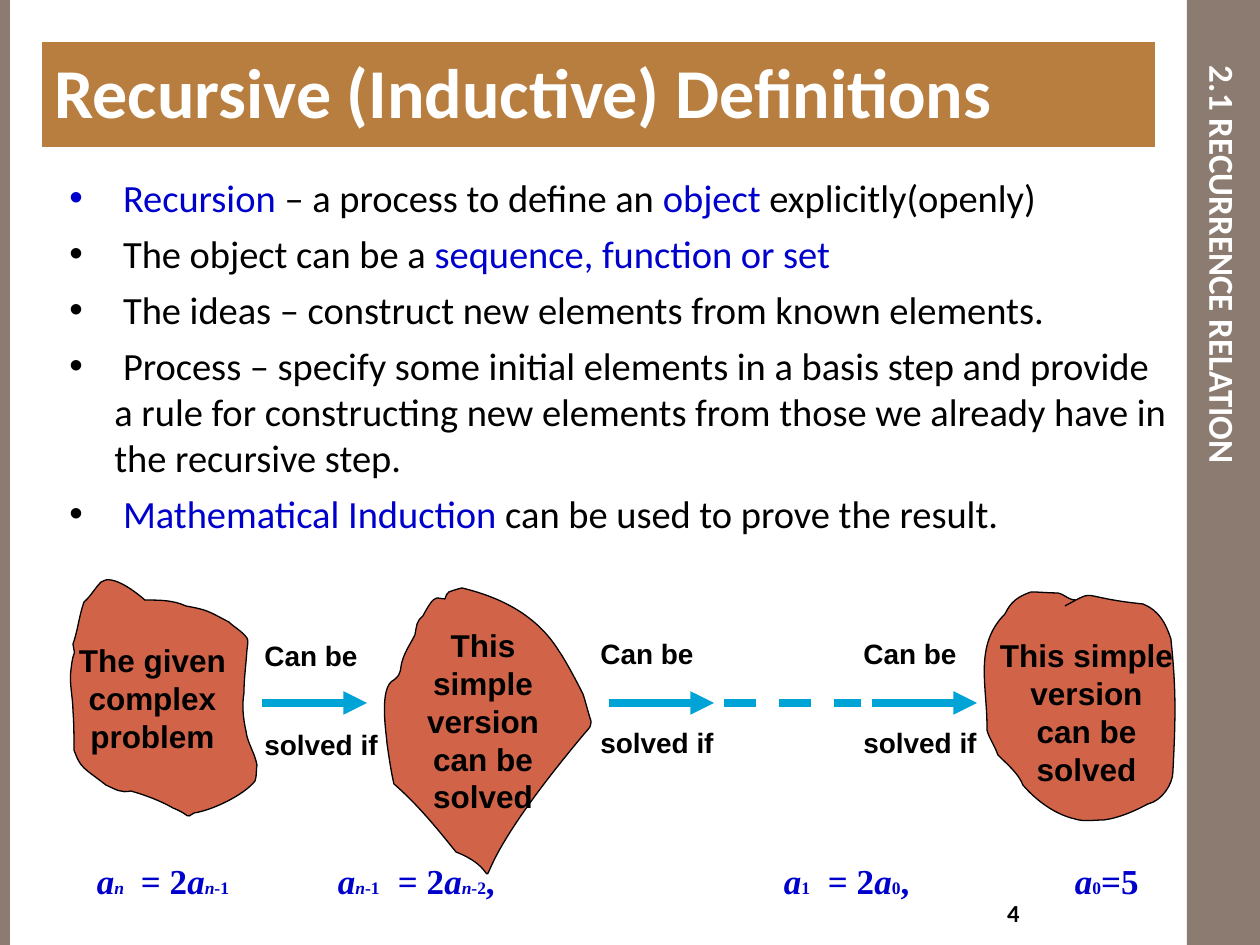
from math import cos, radians, sin
from pptx import Presentation
from pptx.dml.color import RGBColor
from pptx.enum.dml import MSO_LINE
from pptx.enum.shapes import MSO_CONNECTOR, MSO_SHAPE
from pptx.enum.text import MSO_ANCHOR, MSO_AUTO_SIZE, PP_ALIGN
from pptx.oxml.ns import qn
from pptx.util import Emu, Pt
from lxml.etree import SubElement

SCALE = 914400 / 126
BLACK, WHITE, BLUE = "000000", "FFFFFF", "0000CC"
BAR, BANNER, BLOB, ARROW = "8C7B70", "B87E3F", "D16349", "00A3D6"
ARROW_Y = 703
COMPLEX_CENTER = (163, 701)

COMPLEX_OUTLINE = [
    (145, 600), (160, 600), (173, 600), (186, 606), (208, 610), (208, 611), (229, 622),
    (234, 627), (242, 631), (247, 638), (249, 640), (247, 648), (247, 650),
    (246, 665), (244, 678), (244, 693), (242, 704), (243, 718), (246, 731),
    (247, 742), (255, 753), (257, 765), (256, 770), (257, 776), (255, 781),
    (244, 795), (213, 810), (194, 813), (184, 819), (193, 816), (173, 808),
    (161, 801), (145, 795), (131, 791), (121, 793), (117, 790), (106, 785),
    (83, 767), (81, 769), (74, 750), (74, 736), (74, 723), (73, 711),
    (73, 698), (69, 682), (71, 670), (74, 643), (76, 662), (73, 644),
    (78, 630), (79, 616), (84, 602), (91, 596), (95, 588), (101, 582),
    (112, 573), (137, 593), (145, 600),
]
SIMPLER_OUTLINE = [
    (445, 599), (446, 596), (447, 593), (449, 592), (454, 590), (462, 588), (462, 588),
    (499, 597), (536, 614), (559, 651), (568, 664), (583, 694), (583, 694),
    (586, 703), (588, 712), (591, 721), (591, 723), (591, 725), (590, 727),
    (588, 730), (585, 733), (585, 733), (433, 914), (525, 879), (456, 852),
    (436, 827), (417, 804), (394, 784), (391, 771), (389, 757), (387, 743),
    (387, 737), (378, 687), (394, 680), (403, 673), (399, 670), (403, 659),
    (406, 650), (411, 643), (415, 635), (417, 625), (416, 622), (423, 616),
    (423, 616), (431, 600), (435, 599), (437, 597), (441, 599), (445, 599),
]
SIMPLEST_OUTLINE = [
    (1065, 606), (1099, 588), (1075, 597), (1143, 604), (1160, 611), (1166, 624), (1171, 639),
    (1176, 687), (1176, 714), (1173, 772), (1173, 784), (1162, 801), (1148, 804),
    (1135, 811), (1119, 818), (1104, 820), (1094, 820), (1084, 822), (1075, 819),
    (1053, 814), (1034, 798), (1023, 785), (1019, 774), (1007, 764), (998, 755),
    (995, 746), (989, 738), (987, 730), (988, 688), (973, 646), (1005, 614),
    (1011, 602), (1017, 597), (1031, 592), (1040, 592), (1048, 593), (1058, 593),
    (1066, 595), (1068, 600), (1076, 600),
]
POINTS = [
    [(" Recursion", BLUE), (" – a process to define an ", BLACK), ("object", BLUE),
     (" explicitly(openly)", BLACK)],
    [(" The object can be a ", BLACK), ("sequence, function or set", BLUE)],
    [(" The ideas – construct new elements from known elements.", BLACK)],
    [(" Process – specify some initial elements in a basis step and provide a rule for "
      "constructing new elements from those we already have in the recursive step.", BLACK)],
    [(" ", BLACK), ("Mathematical Induction ", BLUE),
     ("can be used to prove the result.", BLACK)],
]
A, N = ("a", 20, True), ("n", 10, True)
EQUALS_TWO = ("\t= 2", 20, False)
FORMULAS = [
    A, N, EQUALS_TWO, A, N, ("-1", 10, False), ("\t", 20, False),
    A, N, ("-1", 10, False), EQUALS_TWO, A, N, ("-2", 10, False), (",\t", 20, False),
    A, ("1", 10, False), EQUALS_TWO, A, ("0", 10, False), (",\t", 20, False),
    A, ("0", 10, False), ("=5", 20, False),
]
FORMULA_STOPS = [44, 241, 301, 687, 731, 978]


def px(length):
    return Emu(round(length * SCALE))


def color(value):
    return RGBColor.from_string(value)


def style(run, size, face, shade, bold=False, italic=False):
    font = run.font
    font.size, font.name, font.bold, font.italic = Pt(size), face, bold, italic
    font.color.rgb = color(shade)


def add_block(slide, left, top, width, height, fill):
    block = slide.shapes.add_shape(MSO_SHAPE.RECTANGLE, px(left), px(top), px(width), px(height))
    block.shadow.inherit = False
    block.fill.solid()
    block.fill.fore_color.rgb = color(fill)
    block.line.fill.background()
    return block


def write(frame, text, size, face, shade, align, gap=0):
    frame.text = text
    for paragraph in frame.paragraphs:
        paragraph.alignment = align
        style(paragraph.runs[0], size, face, shade, bold=True)
    for paragraph in frame.paragraphs[1:]:
        paragraph.space_before = Pt(gap)


def add_frame(slide, left, top, width, height):
    frame = slide.shapes.add_textbox(px(left), px(top), px(width), px(height)).text_frame
    frame.word_wrap = True
    return frame


def place_title(slide):
    title = slide.shapes.title
    title.left, title.top, title.width, title.height = px(1187), px(53), px(73), px(809)
    frame = title.text_frame
    write(frame, "2.1 RECURRENCE RELATION", 20, "Calibri", WHITE, PP_ALIGN.LEFT)
    frame.auto_size = MSO_AUTO_SIZE.NONE
    frame.vertical_anchor = MSO_ANCHOR.MIDDLE
    frame.margin_left = frame.margin_right = px(6)
    frame.margin_top = frame.margin_bottom = px(13)
    frame._txBody.bodyPr.set("vert", "eaVert")
    slide.shapes._spTree.append(title._element)


def add_banner(slide):
    frame = add_block(slide, 42, 42, 1113, 105, BANNER).text_frame
    frame.vertical_anchor = MSO_ANCHOR.TOP
    write(frame, "Recursive (Inductive) Definitions", 40, "Calibri", WHITE, PP_ALIGN.LEFT)


def add_points(slide):
    frame = add_frame(slide, 42, 168, 1144, 672)
    for index, pieces in enumerate(POINTS):
        paragraph = frame.add_paragraph() if index else frame.paragraphs[0]
        paragraph.space_before = Pt(5.5)
        for text, shade in pieces:
            run = paragraph.add_run()
            run.text = text
            style(run, 22, "Calibri", shade)
        props = paragraph._p.get_or_add_pPr()
        props.set("marL", str(px(60)))
        props.set("indent", str(px(-45)))
        bullet_color = SubElement(props, qn("a:buClr"))
        SubElement(bullet_color, qn("a:srgbClr")).set("val", pieces[0][1])
        SubElement(props, qn("a:buFont")).set("typeface", "Arial")
        SubElement(props, qn("a:buChar")).set("char", "•")


def add_formulas(slide):
    frame = add_frame(slide, 21, 861, 1179, 47)
    frame.margin_left = px(76)
    paragraph = frame.paragraphs[0]
    paragraph.line_spacing = 0.8
    for text, size, italic in FORMULAS:
        run = paragraph.add_run()
        run.text = text
        style(run, size, "Times New Roman", BLUE, bold=True, italic=italic)
    stops = SubElement(paragraph._p.get_or_add_pPr(), qn("a:tabLst"))
    for position in FORMULA_STOPS:
        stop = SubElement(stops, qn("a:tab"))
        stop.set("pos", str(px(position)))
        stop.set("algn", "l")


def turned(outline, center, degrees):
    (cx, cy), angle = center, radians(degrees)
    return [(cx + (x - cx) * cos(angle) - (y - cy) * sin(angle),
             cy + (x - cx) * sin(angle) + (y - cy) * cos(angle)) for x, y in outline]


def add_blob(slide, outline, rotation=0):
    knots = [(px(x), px(y)) for x, y in turned(outline, COMPLEX_CENTER, -rotation)]
    builder = slide.shapes.build_freeform(*knots[0])
    builder.add_line_segments(knots[1:], close=outline[0] == outline[-1])
    blob = builder.convert_to_shape()
    lines = list(blob._element.iter(qn("a:lnTo")))
    for i in range(0, len(knots) - 1, 3):
        curve = lines[i].makeelement(qn("a:cubicBezTo"))
        lines[i].addprevious(curve)
        for line in lines[i:i + 3]:
            curve.append(line[0])
            line.getparent().remove(line)
    blob.rotation = rotation
    blob.shadow.inherit = False
    blob.fill.solid()
    blob.fill.fore_color.rgb = color(BLOB)
    blob.line.color.rgb = color(BLACK)
    blob.line.width = Pt(0.75)


def add_link(slide, start, end, dashed=False):
    link = slide.shapes.add_connector(
        MSO_CONNECTOR.STRAIGHT, px(start), px(ARROW_Y), px(end), px(ARROW_Y))
    link.line.color.rgb = color(ARROW)
    link.line.width = Pt(4.5)
    if dashed:
        link.line.dash_style = MSO_LINE.DASH
    else:
        SubElement(link.line._get_or_add_ln(), qn("a:tailEnd")).set("type", "triangle")
    SubElement(link._element.spPr, qn("a:effectLst"))


def add_label(slide, left, top, width, height, text, size=18, face="Arial",
              align=PP_ALIGN.CENTER, gap=0):
    frame = add_frame(slide, left, top, width, height)
    write(frame, text, size, face, BLACK, align, gap)
    return frame


def main():
    deck = Presentation()
    deck.slide_width, deck.slide_height = px(1260), px(945)
    slide = deck.slides.add_slide(deck.slide_layouts[5])
    add_block(slide, 1187, 0, 73, 945, BAR)
    add_block(slide, 0, 0, 10, 945, BAR)
    place_title(slide)
    add_points(slide)
    add_banner(slide)
    add_blob(slide, COMPLEX_OUTLINE, 35.1)
    add_blob(slide, SIMPLER_OUTLINE)
    add_blob(slide, SIMPLEST_OUTLINE)
    simple = "This simple version can be solved"
    add_label(slide, 53, 635, 199, 126, "The given complex problem")
    add_label(slide, 399, 620, 168, 202, simple)
    add_label(slide, 987, 630, 199, 164, simple)
    for start in (262, 872, 609):
        add_link(slide, start, start + 105)
    for left, top in ((252, 632), (851, 630), (588, 630)):
        add_label(slide, left, top, 147, 136, "Can be\nsolved if", 16,
                  align=PP_ALIGN.LEFT, gap=32)
    add_link(slide, 724, 861, dashed=True)
    add_formulas(slide)
    number = add_label(slide, 896, 892, 136, 42, "4", 14, "Calibri", PP_ALIGN.RIGHT)
    number.vertical_anchor = MSO_ANCHOR.MIDDLE
    deck.save("out.pptx")


if __name__ == "__main__":
    main()
